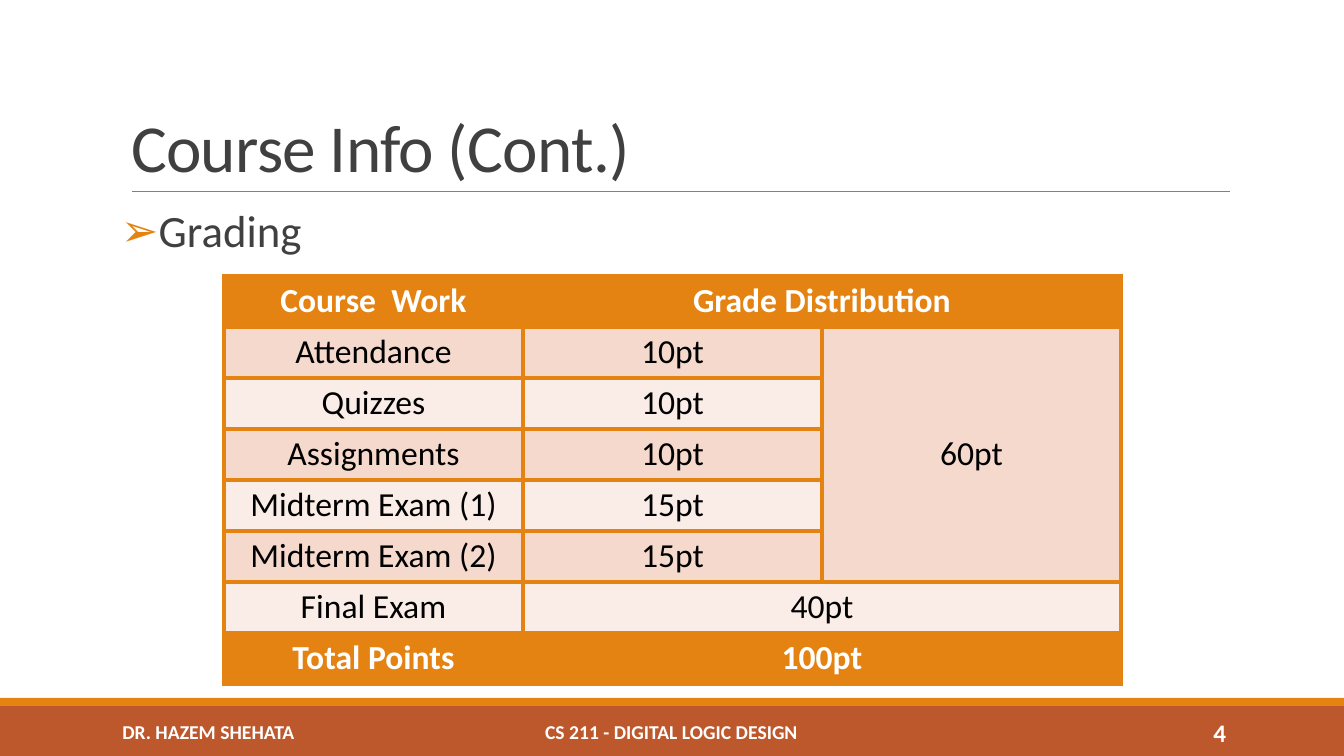
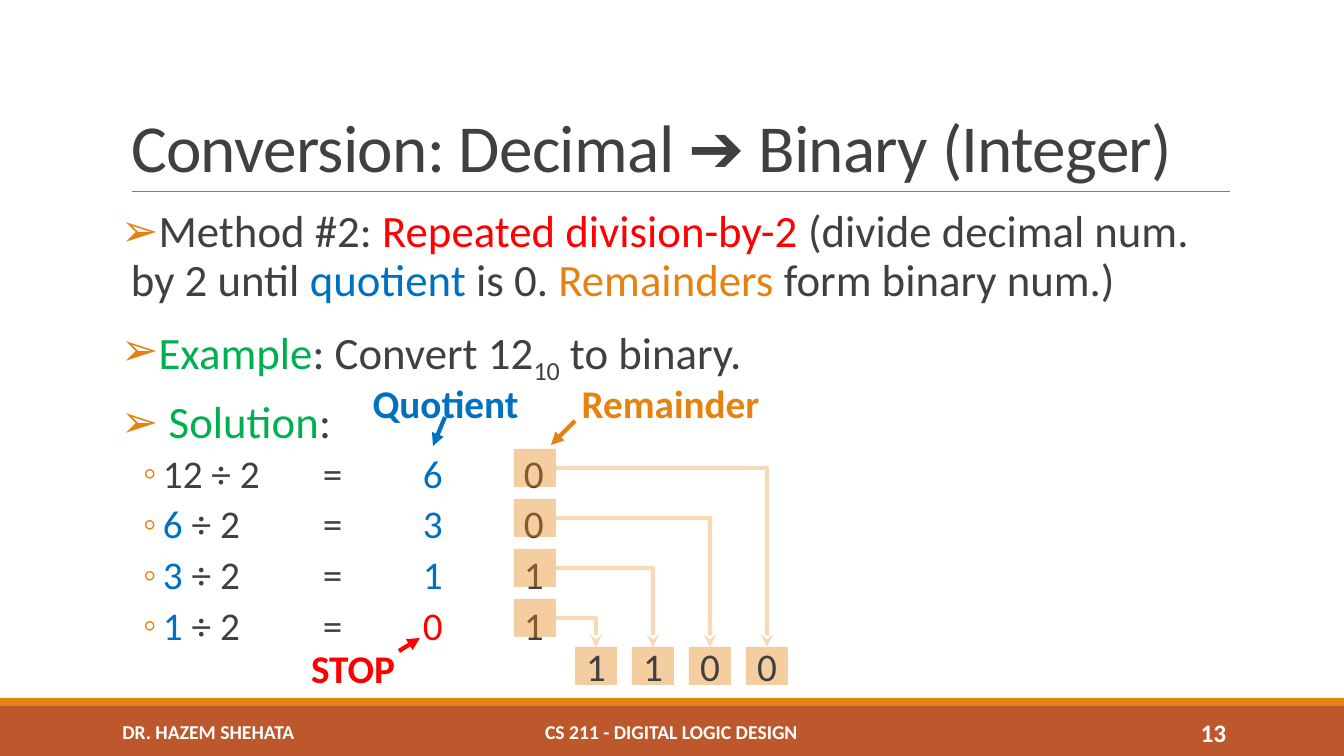
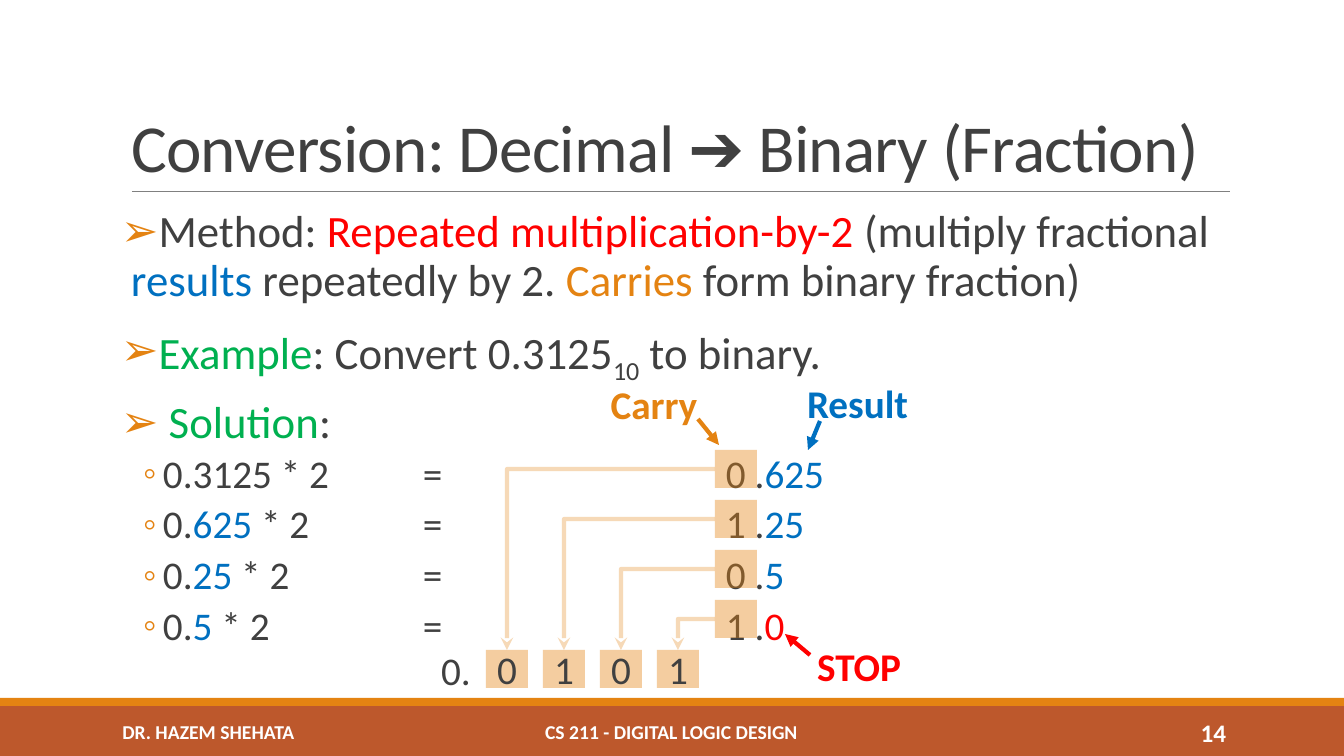
import pptx
import pptx.util
import pptx.dml.color
import pptx.enum.shapes
import pptx.enum.text
import pptx.oxml
import pptx.oxml.ns
from dataclasses import dataclass
from lxml import etree

SHAPE = pptx.enum.shapes.MSO_SHAPE
CONNECTOR = pptx.enum.shapes.MSO_CONNECTOR
ALIGN = pptx.enum.text.PP_ALIGN
ANCHOR = pptx.enum.text.MSO_ANCHOR
NO_FIT = pptx.enum.text.MSO_AUTO_SIZE.NONE
qn = pptx.oxml.ns.qn
LEFT_SITE, RIGHT_SITE, TOP_SITE = 1, 3, 0


@dataclass(frozen=True)
class Theme:
    font: str = "Calibri"
    text: str = "404040"
    orange: str = "E48312"
    rust: str = "BD582C"
    rule: str = "808080"
    red: str = "FF0000"
    blue: str = "0070C0"
    green: str = "00B050"
    white: str = "FFFFFF"
    black: str = "000000"
    band_dark: str = "F5D9CC"
    band_light: str = "FAEDE7"
    title_size: int = 48
    body_size: int = 32
    detail_size: int = 28
    table_size: int = 24
    number_size: int = 18
    footer_size: int = 14
    thick: int = 3


THEME = Theme()
PAGE_WIDTH, PAGE_HEIGHT = 1344, 756
SCALE = 12192000 / PAGE_WIDTH

TITLE_AT = (121, 31, 1109, 160)
BODY_AT = (121, 204, 1109, 444)
BANDS = [((0, 706, PAGE_WIDTH, 50), THEME.rust), ((0, 698, PAGE_WIDTH, 8), THEME.orange)]
TITLE_RULE = ((132, 191), (1230, 191))
AUTHOR = ("DR. HAZEM SHEHATA", (24, 712, 369, 40))
COURSE = ("CS 211 - DIGITAL LOGIC DESIGN", (406, 712, 531, 40))
NUMBER_AT = (1092, 712, 144, 40)

BULLETS = [
    {"mark": "➢", "left": 10, "hang": -10, "before": 12, "after": 2, "size": THEME.body_size},
    {"mark": "◦", "left": 42, "hang": -20, "before": 2, "after": 4, "size": THEME.detail_size},
]

GRADES_AT = (224, 276)
GRADES_COLUMN, GRADES_ROW = 299, 51
GRADES = [
    ["Course  Work", "Grade Distribution", ""],
    ["Attendance", "10pt", "60pt"],
    ["Quizzes", "10pt", ""],
    ["Assignments", "10pt", ""],
    ["Midterm Exam (1)", "15pt", ""],
    ["Midterm Exam (2)", "15pt", ""],
    ["Final Exam", "40pt", ""],
    ["Total Points", "100pt", ""],
]
GRADES_MERGES = [((0, 1), (0, 2)), ((1, 2), (5, 2)), ((6, 1), (6, 2)), ((7, 1), (7, 2))]

SOLUTION = (0, [(" ", "text"), ("Solution", "green"), (":", "text")])

PAGES = [
    {"number": 4, "title": "Course Info (Cont.)", "body": [(0, [("Grading", "text")])]},
    {
        "number": 13,
        "title": "Conversion: Decimal ➔ Binary (Integer)",
        "tabs": [202, 302, 403],
        "body": [
            (0, [("Method #2: ", "text"), ("Repeated division-by-2", "red"),
                 (" (divide decimal num. by 2 until ", "text"), ("quotient", "blue"),
                 (" is 0. ", "text"), ("Remainders", "orange"), (" form binary num.)", "text")]),
            (0, [("Example", "green"), (": Convert 12", "text"), ("10", "subscript"),
                 (" to binary.", "text")]),
            SOLUTION,
            (1, [("12 ÷ 2\t=\t", "text"), ("6", "blue"), ("\t0", "text")]),
            (1, [("6 ", "blue"), ("÷ 2\t=\t", "text"), ("3", "blue"), ("\t0", "text")]),
            (1, [("3 ", "blue"), ("÷ 2\t=\t", "text"), ("1", "blue"), ("\t1", "text")]),
            (1, [("1 ", "blue"), ("÷ 2\t=\t", "text"), ("0", "red"), ("\t1", "text")]),
        ],
        "flow": {"source": (514, 449), "digits_at": (575, 647), "digits": "1100",
                 "order": [3, 2, 1, 0], "site": RIGHT_SITE},
        "labels": [("STOP", (299, 652, 108, 31), "red", True),
                   ("Remainder", (554, 389, 233, 28), "orange", True),
                   ("Quotient", (329, 389, 233, 28), "blue", True)],
        "arrows": [((399, 651), (420, 638), "red"),
                   ((575, 421), (551, 445), "orange"),
                   ((445, 417), (433, 446), "blue")],
    },
    {
        "number": 14,
        "title": "Conversion: Decimal ➔ Binary (Fraction)",
        "tabs": [302, 605],
        "body": [
            (0, [("Method: ", "text"), ("Repeated multiplication-by-2", "red"),
                 (" (multiply fractional ", "text"), ("results", "blue"),
                 (" repeatedly by 2. ", "text"), ("Carries", "orange"),
                 (" form binary fraction)", "text")]),
            (0, [("Example", "green"), (": Convert 0.3125", "text"), ("10", "subscript"),
                 (" to binary.", "text")]),
            SOLUTION,
            (1, [("0.3125 * 2\t=\t0 .", "text"), ("625", "blue")]),
            (1, [("0.", "text"), ("625", "blue"), (" * 2\t=\t1 .", "text"), ("25", "blue")]),
            (1, [("0.", "text"), ("25", "blue"), (" * 2\t=\t0 .", "text"), ("5", "blue")]),
            (1, [("0.", "text"), ("5", "blue"), (" * 2\t=\t1 .", "text"), ("0", "red")]),
        ],
        "flow": {"source": (715, 450), "digits_at": (486, 650), "digits": "0101",
                 "order": [0, 1, 2, 3], "site": LEFT_SITE},
        "labels": [("STOP", (805, 650, 108, 31), "red", True),
                   ("Carry", (582, 389, 144, 29), "orange", True),
                   ("Result", (741, 389, 233, 28), "blue", True),
                   ("0.", (428, 650, 56, 40), "text", False)],
        "arrows": [((810, 655), (785, 634), "red"),
                   ((698, 419), (719, 445), "orange"),
                   ((820, 421), (808, 450), "blue")],
    },
]
DIGIT_WIDTH, DIGIT_HEIGHT = 42, 38
SOURCE_STEP, DIGIT_STEP = 50, 57


def emu(px):
    return pptx.util.Emu(round(px * SCALE))


def place(at):
    return [emu(px) for px in at]


def rgb(color):
    return pptx.dml.color.RGBColor.from_string(color)


def child(parent, tag, **attributes):
    return etree.SubElement(parent, qn(tag), {key: str(value) for key, value in attributes.items()})


def fade(color_format_owner, percent):
    for color in color_format_owner.iter(qn("a:srgbClr")):
        child(color, "a:alpha", val=percent * 1000)


def add_span(para, text, size, color, bold=False):
    span = para.add_run()
    span.text = text
    span.font.name = THEME.font
    span.font.size = pptx.util.Pt(size)
    span.font.bold = bold
    span.font.color.rgb = rgb(color)
    return span


def write_line(frame, text, size, color, bold=False, align=ALIGN.CENTER):
    frame.vertical_anchor = ANCHOR.MIDDLE
    para = frame.paragraphs[0]
    para.alignment = align
    return add_span(para, text, size, color, bold)


def add_label(page, text, at, size, color, bold=True, align=ALIGN.CENTER):
    box = page.shapes.add_textbox(*place(at))
    box.text_frame.word_wrap = True
    write_line(box.text_frame, text, size, color, bold, align)


def add_block(page, at, color, opacity=100):
    block = page.shapes.add_shape(SHAPE.RECTANGLE, *place(at))
    block.shadow.inherit = False
    block.line.fill.background()
    block.fill.solid()
    block.fill.fore_color.rgb = rgb(color)
    if opacity < 100:
        fade(block._element.spPr, opacity)
    return block


def add_line(page, start, end, color, width, kind=CONNECTOR.STRAIGHT, head=None):
    line = page.shapes.add_connector(kind, *place(start + end))
    line.line.color.rgb = rgb(color)
    line.line.width = pptx.util.Pt(width)
    if head:
        child(line.line._get_or_add_ln(), "a:tailEnd", type=head)
    child(line._element.spPr, "a:effectLst")
    return line


def add_frame(page, title, number):
    for at, color in BANDS:
        add_block(page, at, color)
    add_line(page, *TITLE_RULE, THEME.rule, 0.5)
    for text, at in (AUTHOR, COURSE):
        add_label(page, text, at, THEME.footer_size, THEME.white)
    add_label(page, str(number), NUMBER_AT, THEME.number_size, THEME.white, align=ALIGN.RIGHT)
    frame = page.shapes.title.text_frame
    frame.auto_size = NO_FIT
    span = write_line(frame, title, THEME.title_size, THEME.text, align=ALIGN.LEFT)
    span._r.get_or_add_rPr().set("spc", "-50")
    frame.vertical_anchor = ANCHOR.BOTTOM
    frame.paragraphs[0].line_spacing = 0.85


def format_bullet(para, level, tabs, first):
    style = BULLETS[level]
    para.level = level
    properties = para._p.get_or_add_pPr()
    properties.set("marL", str(emu(style["left"])))
    properties.set("indent", str(emu(style["hang"])))
    child(child(properties, "a:buClr"), "a:srgbClr", val=THEME.orange)
    child(properties, "a:buChar", char=style["mark"])
    if level and tabs:
        stops = child(properties, "a:tabLst")
        for stop in tabs:
            child(stops, "a:tab", pos=emu(stop), algn="l")
    para.alignment = ALIGN.LEFT
    para.line_spacing = 0.9
    para.space_before = pptx.util.Pt(0 if first else style["before"])
    para.space_after = pptx.util.Pt(style["after"])
    return style["size"]


def fill_body(page, items, tabs):
    frame = page.placeholders[1].text_frame
    frame.auto_size = NO_FIT
    frame.word_wrap = True
    frame.vertical_anchor = ANCHOR.TOP
    frame.margin_left = frame.margin_right = 0
    for index, (level, spans) in enumerate(items):
        para = frame.add_paragraph() if index else frame.paragraphs[0]
        size = format_bullet(para, level, tabs, index == 0)
        for text, role in spans:
            subscript = role == "subscript"
            span = add_span(para, text, size, THEME.text if subscript else getattr(THEME, role))
            if subscript:
                span._r.get_or_add_rPr().set("baseline", "-25000")


def format_cell(cell, fill):
    properties = cell._tc.get_or_add_tcPr()
    for side in ("a:lnL", "a:lnR", "a:lnT", "a:lnB"):
        border = child(properties, side, w=pptx.util.Pt(THEME.thick))
        child(child(border, "a:solidFill"), "a:srgbClr", val=THEME.orange)
    cell.fill.solid()
    cell.fill.fore_color.rgb = rgb(fill)
    cell.vertical_anchor = ANCHOR.MIDDLE


def add_grades(page):
    rows, columns = len(GRADES), len(GRADES[0])
    size = (GRADES_COLUMN * columns, GRADES_ROW * rows)
    table = page.shapes.add_table(rows, columns, *place(GRADES_AT + size)).table
    table.first_row = table.horz_banding = False
    for row, texts in enumerate(GRADES):
        strong = row in (0, rows - 1)
        band = THEME.band_dark if row % 2 else THEME.band_light
        for column, text in enumerate(texts):
            cell = table.cell(row, column)
            format_cell(cell, THEME.orange if strong else band)
            if text:
                color = THEME.white if strong else THEME.black
                write_line(cell.text_frame, text, THEME.table_size, color, strong)
    for first, last in GRADES_MERGES:
        table.cell(*first).merge(table.cell(*last))


def add_digit_box(page, left, top):
    return add_block(page, (left, top, DIGIT_WIDTH, DIGIT_HEIGHT), THEME.orange, 40)


def add_flow(page, source, digits_at, digits, order, site):
    targets = []
    for index, digit in enumerate(digits):
        box = add_digit_box(page, digits_at[0] + index * DIGIT_STEP, digits_at[1])
        frame = box.text_frame
        frame.margin_left = frame.margin_right = 0
        write_line(frame, digit, THEME.detail_size, THEME.text)
        targets.append(box)
    for row, target in enumerate(order):
        box = add_digit_box(page, source[0], source[1] + row * SOURCE_STEP)
        route = add_line(page, source, digits_at, THEME.orange, THEME.thick,
                         CONNECTOR.ELBOW, "stealth")
        route.begin_connect(box, site)
        route.end_connect(targets[target], TOP_SITE)
        route._element.spPr.find(qn("a:prstGeom")).set("prst", "bentConnector2")
        fade(route._element.spPr, 30)


def main():
    deck = pptx.Presentation()
    deck.slide_width, deck.slide_height = emu(PAGE_WIDTH), emu(PAGE_HEIGHT)
    layout = deck.slide_layouts[1]
    for content in PAGES:
        page = deck.slides.add_slide(layout)
        for holder, at in zip(page.placeholders, (TITLE_AT, BODY_AT)):
            holder.left, holder.top, holder.width, holder.height = place(at)
        add_frame(page, content["title"], content["number"])
        fill_body(page, content["body"], content.get("tabs"))
        if "flow" not in content:
            add_grades(page)
            continue
        add_flow(page, **content["flow"])
        for text, at, role, bold in content["labels"]:
            add_label(page, text, at, THEME.detail_size, getattr(THEME, role), bold)
        for start, end, role in content["arrows"]:
            add_line(page, start, end, getattr(THEME, role), THEME.thick, head="triangle")
    deck.save("out.pptx")


if __name__ == "__main__":
    main()
